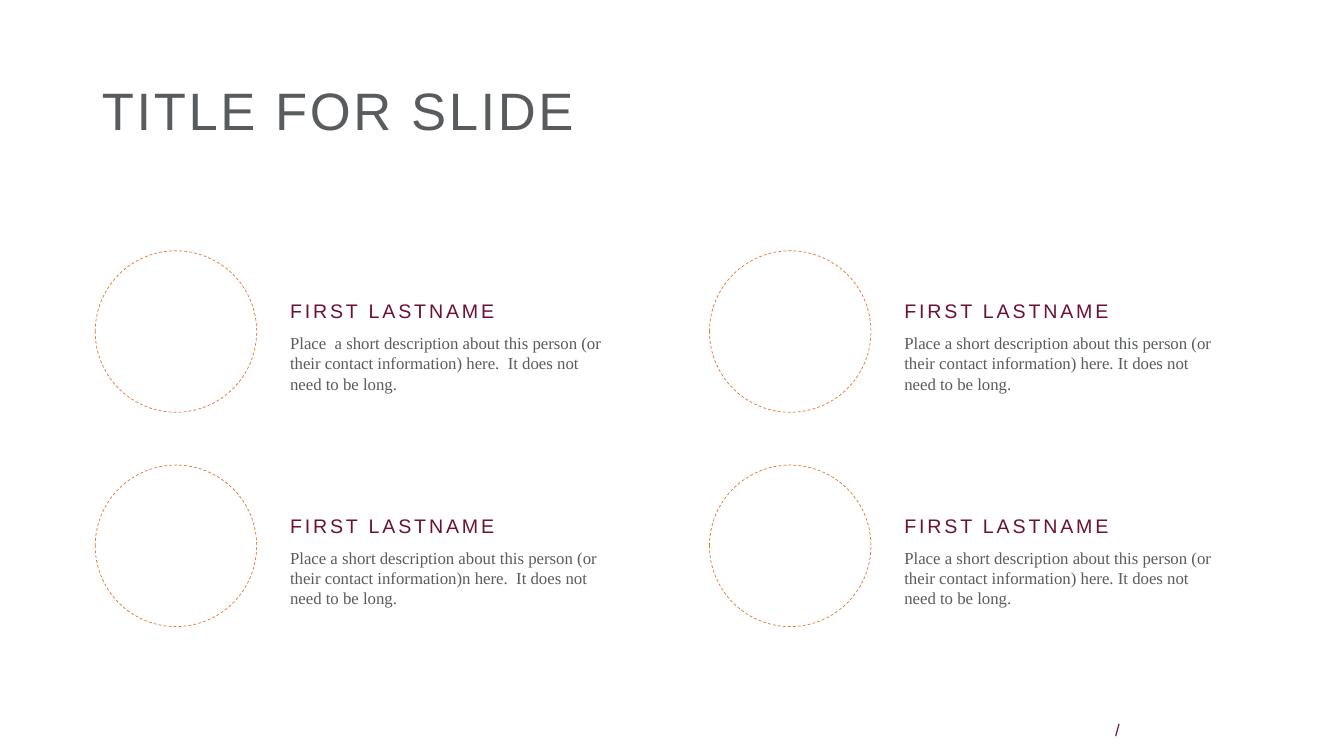
from dataclasses import dataclass

from pptx import Presentation
from pptx.dml.color import RGBColor
from pptx.enum.dml import MSO_LINE
from pptx.enum.shapes import MSO_SHAPE
from pptx.enum.text import MSO_ANCHOR, MSO_AUTO_SIZE, PP_ALIGN
from pptx.shapes.autoshape import Shape
from pptx.slide import Slide
from pptx.util import Cm, Pt

GRAY = RGBColor(0x58, 0x5C, 0x5E)
MAROON = RGBColor(0x6C, 0x10, 0x35)
ORANGE = RGBColor(0xE5, 0x76, 0x31)

COLUMN_STEP = 15.48
ROW_STEP = 5.4


@dataclass(frozen=True)
class TextStyle:
    font_name: str
    size: float
    color: RGBColor
    letter_spacing: float = 0
    line_spacing: float = 1.0
    alignment: PP_ALIGN = PP_ALIGN.LEFT
    anchor: MSO_ANCHOR = MSO_ANCHOR.TOP


@dataclass(frozen=True)
class Person:
    column: int
    row: int
    name: str
    description: str


TITLE = TextStyle("Arial", 37.6, GRAY, 1.9, 0.9, anchor=MSO_ANCHOR.BOTTOM)
NAME = TextStyle("Arial", 14, MAROON, 2)
DESCRIPTION = TextStyle("Times New Roman", 12, GRAY)
FOOTER = TextStyle("Arial", 12, MAROON, 2, 0.9, PP_ALIGN.RIGHT, MSO_ANCHOR.BOTTOM)

PEOPLE = [
    Person(0, 0, "FIRST LASTNAME",
           "Place  a short description about this person (or their contact "
           "information) here.  It does not need to be long."),
    Person(0, 1, "FIRST LASTNAME",
           "Place a short description about this person (or their contact "
           "information)n here.  It does not need to be long."),
    Person(1, 0, "FIRST LASTNAME",
           "Place a short description about this person (or their contact "
           "information) here. It does not need to be long."),
    Person(1, 1, "FIRST LASTNAME",
           "Place a short description about this person (or their contact "
           "information) here. It does not need to be long."),
]


def write_text(shape: Shape, text: str, style: TextStyle) -> None:
    frame = shape.text_frame
    frame.text = text
    frame.word_wrap = True
    frame.auto_size = MSO_AUTO_SIZE.NONE
    frame.vertical_anchor = style.anchor
    frame.margin_left = frame.margin_right = Cm(0.13)
    frame.margin_top = frame.margin_bottom = Cm(0.13)
    paragraph = frame.paragraphs[0]
    paragraph.alignment = style.alignment
    paragraph.line_spacing = style.line_spacing
    font = paragraph.font
    font.name = style.font_name
    font.size = Pt(style.size)
    font.color.rgb = style.color
    if style.letter_spacing:
        character_properties = paragraph._p.get_or_add_pPr().get_or_add_defRPr()
        character_properties.set("spc", str(round(style.letter_spacing * 100)))


def add_text(slide: Slide, left: float, top: float, width: float, height: float,
             text: str, style: TextStyle) -> None:
    box = slide.shapes.add_textbox(Cm(left), Cm(top), Cm(width), Cm(height))
    write_text(box, text, style)


def add_person(slide: Slide, person: Person) -> None:
    """Draw a dashed portrait circle with the name and description beside it."""
    left = 2.4 + person.column * COLUMN_STEP
    top = 6.32 + person.row * ROW_STEP
    text_left = left + 4.78
    add_text(slide, text_left, top + 1.09, 10.87, 0.85, person.name, NAME)
    add_text(slide, text_left, top + 1.94, 8.22, 1.8, person.description, DESCRIPTION)
    circle = slide.shapes.add_shape(MSO_SHAPE.OVAL, Cm(left), Cm(top), Cm(4.07), Cm(4.07))
    circle.shadow.inherit = False
    circle.fill.background()
    circle.line.color.rgb = ORANGE
    circle.line.width = Pt(0.5)
    circle.line.dash_style = MSO_LINE.DASH


def main() -> None:
    presentation = Presentation()
    presentation.slide_width = Cm(33.87)
    presentation.slide_height = Cm(19.05)
    slide = presentation.slides.add_slide(presentation.slide_layouts[5])

    title = slide.shapes.title
    title.left, title.top = Cm(2.44), Cm(1.85)
    title.width, title.height = Cm(15.85), Cm(1.85)
    write_text(title, "TITLE FOR SLIDE", TITLE)

    for person in PEOPLE:
        add_person(slide, person)
    add_text(slide, 27.66, 17.65, 0.69, 1.14, "/", FOOTER)

    presentation.save("out.pptx")


if __name__ == "__main__":
    main()
